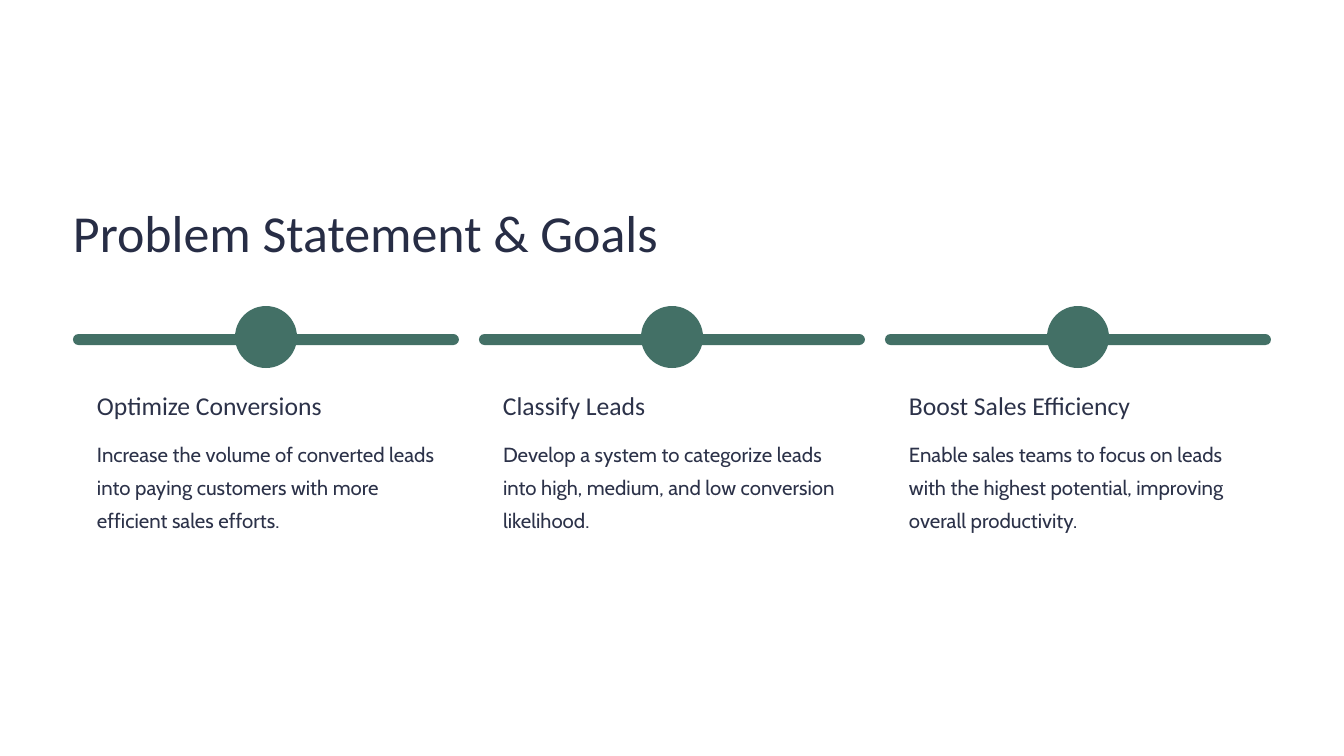
from pptx import Presentation
from pptx.dml.color import RGBColor
from pptx.enum.shapes import MSO_SHAPE as Preset
from pptx.enum.text import MSO_ANCHOR as Anchor, MSO_AUTO_SIZE as AutoSize, PP_ALIGN as Align
from pptx.util import Emu, Pt

EMU_PER_PX = 914400 / 84
GREEN, NAVY, SLATE = "437066", "272D45", "2C3249"
LEFT, STEP, INDENT = 73, 406, 24
BAR_WIDTH, DOT_SIZE = 386, 62
GOALS = [
    ("Optimize Conversions",
     "Increase the volume of converted leads into paying customers with more efficient sales efforts."),
    ("Classify Leads",
     "Develop a system to categorize leads into high, medium, and low conversion likelihood."),
    ("Boost Sales Efficiency",
     "Enable sales teams to focus on leads with the highest potential, improving overall productivity."),
]


def px(length):
    """Turn pixels into EMU."""
    return Emu(round(length * EMU_PER_PX))


def color(code):
    """Turn a hex string into a colour."""
    return RGBColor.from_string(code)


def write(frame, text, font, size, spacing, ink, wrap=False):
    """Fill a text frame with one left-aligned run."""
    frame.margin_left = frame.margin_top = frame.margin_right = frame.margin_bottom = 0
    frame.auto_size = AutoSize.NONE
    frame.word_wrap = wrap
    frame.vertical_anchor = Anchor.TOP
    line = frame.paragraphs[0]
    line.alignment = Align.LEFT
    line.line_spacing = Pt(spacing)
    words = line.add_run()
    words.text = text
    words.font.name = font
    words.font.size = Pt(size)
    words.font.color.rgb = color(ink)


def add_title(slide, text):
    """Place and format the slide title."""
    title = slide.shapes.title
    title.left, title.top, title.width, title.height = map(px, (LEFT, 198, 633, 66))
    write(title.text_frame, text, "Calibri", 44.5, 55.5, NAVY)


def add_text(slide, box, *style, wrap=False):
    """Add a text box with one style."""
    label = slide.shapes.add_textbox(*map(px, box))
    write(label.text_frame, *style, wrap=wrap)


def add_rounded(slide, box):
    """Add a green shape with fully rounded ends."""
    pill = slide.shapes.add_shape(Preset.ROUNDED_RECTANGLE, *map(px, box))
    pill.adjustments[0] = 0.5
    pill.shadow.inherit = False
    pill.fill.solid()
    pill.fill.fore_color.rgb = color(GREEN)
    pill.line.fill.background()


def add_goal(slide, left, heading, detail):
    """Add a timeline segment with its goal below."""
    add_rounded(slide, (left, 334, BAR_WIDTH, 11))
    add_rounded(slide, (left + (BAR_WIDTH - DOT_SIZE) // 2, 306, DOT_SIZE, DOT_SIZE))
    add_text(slide, (left + INDENT, 389, 260, 33), heading, "Calibri", 22, 27.5, SLATE)
    add_text(slide, (left + INDENT, 433, 339, 100), detail, "Cabin", 17.5, 28.5, SLATE, wrap=True)


def main():
    """Build and save the slide."""
    deck = Presentation()
    deck.slide_width, deck.slide_height = px(1344), px(756)
    slide = deck.slides.add_slide(deck.slide_layouts[5])
    add_title(slide, "Problem Statement & Goals")
    for column, (heading, detail) in enumerate(GOALS):
        add_goal(slide, LEFT + column * STEP, heading, detail)
    deck.save("out.pptx")


if __name__ == "__main__":
    main()
